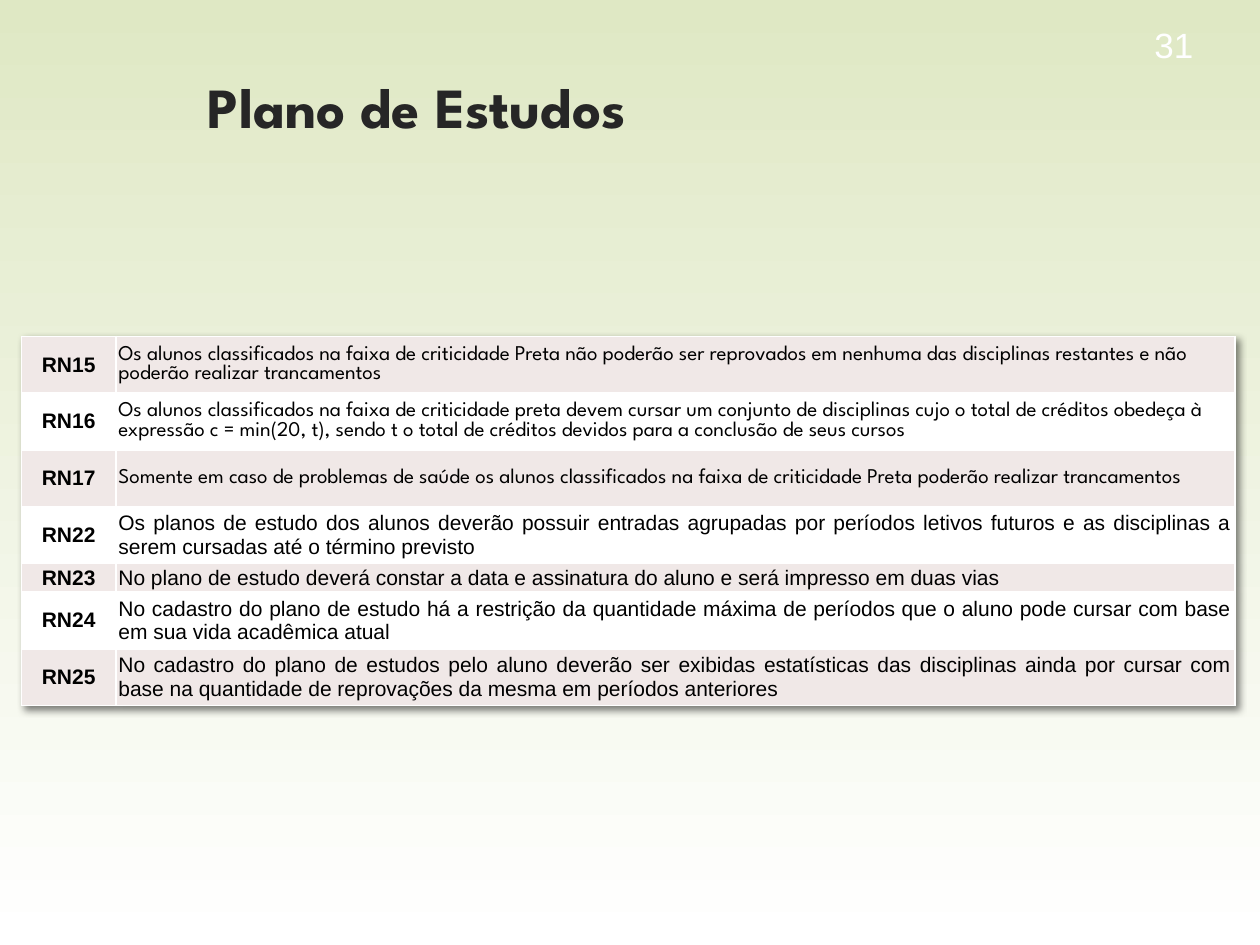
import pptx
import pptx.util
import pptx.dml.color
import pptx.enum.text
import pptx.oxml
import pptx.oxml.ns

Inches, Pt = pptx.util.Inches, pptx.util.Pt
RGB = pptx.dml.color.RGBColor.from_string
ALIGN = pptx.enum.text.PP_ALIGN
ANCHOR = pptx.enum.text.MSO_ANCHOR

THEME = {
    "display": "League Spartan", "body": "Arial",
    "title_size": 32.4, "number_size": 20, "table_size": 12,
    "title": "262626", "text": "000000", "white": "FFFFFF",
    "band": "F0E8E7", "background": ("FFFFFF", "DFE8C4"),
}
TITLE = "Plano de Estudos"
NUMBER = "31"
SPARTAN = (THEME["display"], ALIGN.LEFT)
ARIAL = (THEME["body"], ALIGN.JUSTIFY)
RULES = [
    ("RN15", "Os alunos classificados na faixa de criticidade Preta não poderão ser reprovados em nenhuma das disciplinas restantes e não poderão realizar trancamentos", SPARTAN, 0.45),
    ("RN16", "Os alunos classificados na faixa de criticidade preta devem cursar um conjunto de disciplinas cujo o total de créditos obedeça à expressão c = min(20, t), sendo t o total de créditos devidos para a conclusão de seus cursos", SPARTAN, 0.45),
    ("RN17", "Somente em caso de problemas de saúde os alunos classificados na faixa de criticidade Preta poderão realizar trancamentos", SPARTAN, 0.45),
    ("RN22", "Os planos de estudo dos alunos deverão possuir entradas agrupadas por períodos letivos futuros e as disciplinas a serem cursadas até o término previsto", ARIAL, 0.45),
    ("RN23", "No plano de estudo deverá constar a data e assinatura do aluno e será impresso em duas vias", ARIAL, 0.23),
    ("RN24", "No cadastro do plano de estudo há a restrição da quantidade máxima de períodos que o aluno pode cursar com base em sua vida acadêmica atual", ARIAL, 0.45),
    ("RN25", "No cadastro do plano de estudos pelo aluno deverão ser exibidas estatísticas das disciplinas ainda por cursar com base na quantidade de reprovações da mesma em períodos anteriores", ARIAL, 0.45),
]
COLUMNS = (0.75, 8.88)


def set_all(obj, values):
    for name, value in values.items():
        setattr(obj, name, value)


def xml(body):
    return pptx.oxml.parse_xml(body.replace(">", f" {pptx.oxml.ns.nsdecls('a')}>", 1))


def shadow():
    return xml('<a:effectLst><a:outerShdw blurRad="50800" dist="38100" dir="2700000" algn="tl">'
               '<a:srgbClr val="000000"><a:alpha val="50000"/></a:srgbClr></a:outerShdw></a:effectLst>')


def write(tf, text, font, size, color, bold=False, align=ALIGN.LEFT):
    p = tf.paragraphs[0]
    p.alignment = align
    r = p.add_run()
    r.text = text
    set_all(r.font, {"name": font, "size": Pt(size), "bold": bold})
    r.font.color.rgb = RGB(color)
    return r


def border(cell):
    tc_pr = cell._tc.get_or_add_tcPr()
    for i, side in enumerate("LRTB"):
        tc_pr.insert(i, xml(f'<a:ln{side} w="12700"><a:solidFill><a:srgbClr val="{THEME["white"]}"/>'
                            f'</a:solidFill></a:ln{side}>'))


def add_title(s):
    sp = s.shapes.title
    set_all(sp, {"left": Inches(1.55), "top": Inches(0.54), "width": Inches(7.05), "height": Inches(0.57)})
    tf = sp.text_frame
    set_all(tf, {"vertical_anchor": ANCHOR.BOTTOM, "margin_bottom": 0, "word_wrap": True,
                 "auto_size": pptx.enum.text.MSO_AUTO_SIZE.NONE})
    r = write(tf, TITLE, THEME["display"], THEME["title_size"], THEME["title"], True)
    r.font._element.find(pptx.oxml.ns.qn("a:solidFill")).addnext(shadow())


def add_number(s):
    tf = s.shapes.add_textbox(Inches(8.57), Inches(0.15), Inches(1), Inches(0.4)).text_frame
    set_all(tf, {"word_wrap": True, "vertical_anchor": ANCHOR.MIDDLE})
    write(tf, NUMBER, THEME["body"], THEME["number_size"], THEME["white"], align=ALIGN.RIGHT)


def add_rules(s):
    height = sum(rule[3] for rule in RULES)
    table = s.shapes.add_table(len(RULES), len(COLUMNS), Inches(0.17), Inches(2.67),
                               Inches(sum(COLUMNS)), Inches(height)).table
    set_all(table, {"first_row": False, "horz_banding": False})
    table._tbl.tblPr.insert(0, shadow())
    for column, width in zip(table.columns, COLUMNS):
        column.width = Inches(width)
    for i, (code, text, (font, align), row_height) in enumerate(RULES):
        table.rows[i].height = Inches(row_height)
        contents = ((code, THEME["body"], True, ALIGN.CENTER), (text, font, False, align))
        for cell, (words, face, bold, side) in zip(table.rows[i].cells, contents):
            set_all(cell, {"margin_left": Inches(0.02), "margin_right": Inches(0.02),
                           "margin_top": 0, "margin_bottom": 0, "vertical_anchor": ANCHOR.MIDDLE})
            cell.fill.solid()
            cell.fill.fore_color.rgb = RGB(THEME["white"] if i % 2 else THEME["band"])
            border(cell)
            write(cell.text_frame, words, face, THEME["table_size"], THEME["text"], bold, side)


def main():
    prs = pptx.Presentation()
    set_all(prs, {"slide_width": Inches(10), "slide_height": Inches(7.5)})
    s = prs.slides.add_slide(prs.slide_layouts[5])
    fill = s.background.fill
    fill.gradient()
    fill.gradient_angle = 90
    for stop, color, position in zip(fill.gradient_stops, THEME["background"], (0, 1)):
        stop.color.rgb = RGB(color)
        stop.position = position
    add_title(s)
    add_rules(s)
    add_number(s)
    prs.save("out.pptx")


if __name__ == "__main__":
    main()
